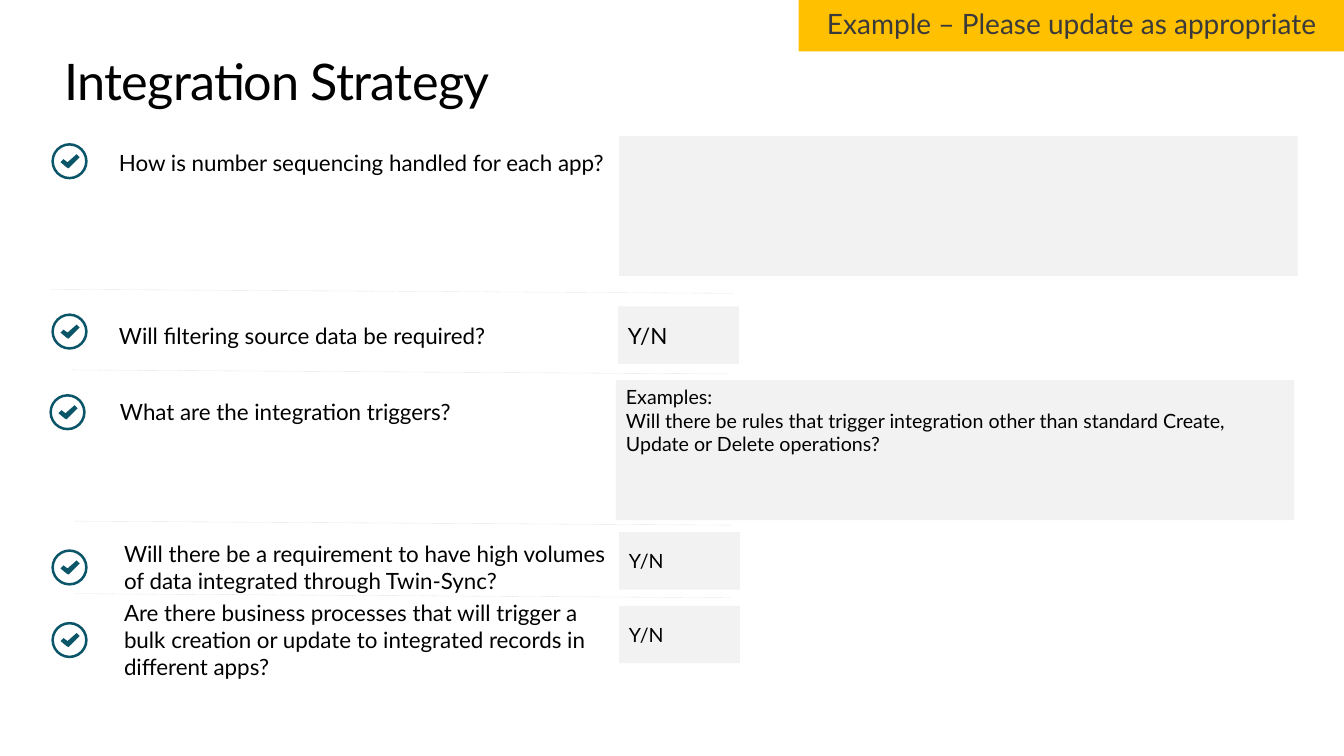
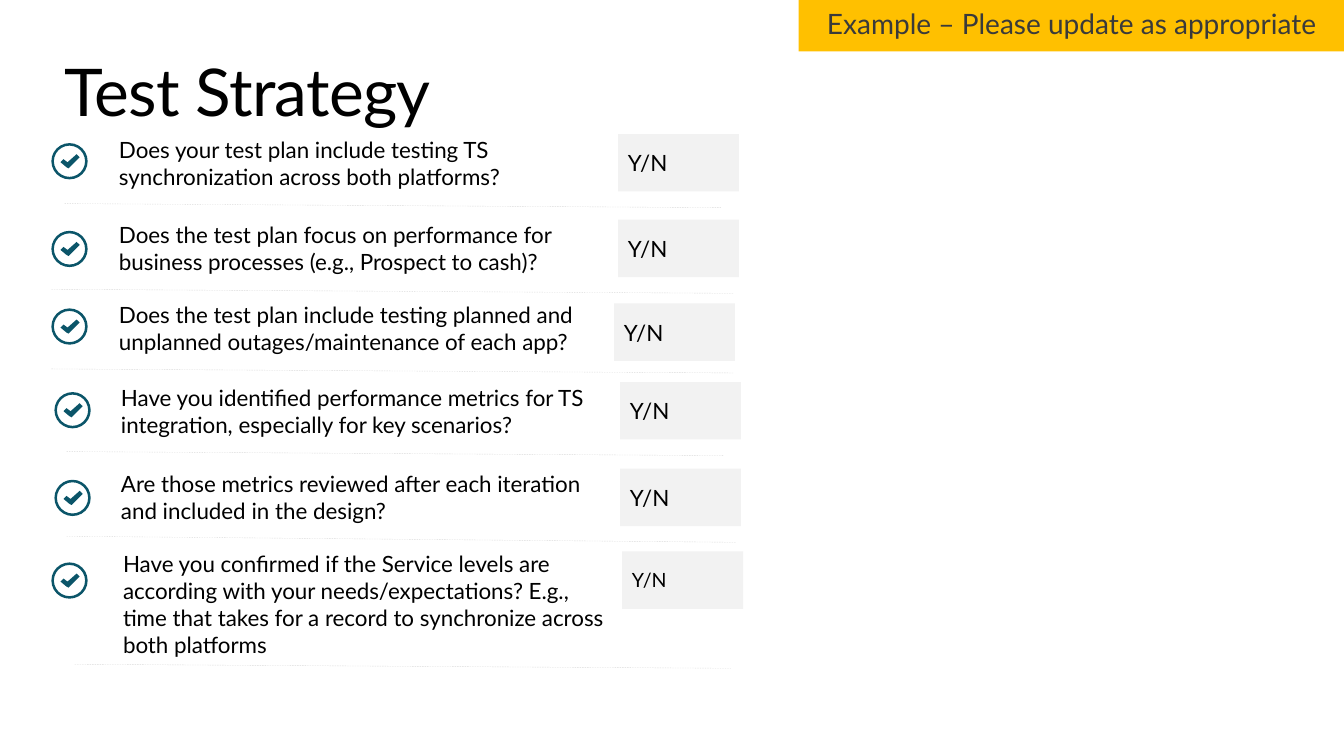
import dataclasses
import pptx
import pptx.util
import pptx.dml.color
import pptx.enum.dml
import pptx.enum.shapes
import pptx.enum.text
import pptx.oxml.ns
import lxml.etree

Inches = pptx.util.Inches
Pt = pptx.util.Pt
Anchor = pptx.enum.text.MSO_ANCHOR
Align = pptx.enum.text.PP_ALIGN
Shape = pptx.enum.shapes.MSO_SHAPE

COLORS = {
    "text": "000000",
    "mark": "0B5569",
    "box": "F2F2F2",
    "rule": "D9D9D9",
    "band": "FFC000",
    "note": "3A3A3A",
}
FONT = "Lato"
SMALL = (1.2, 0.57)
LARGE = (6.73, 1.39)
TICK = [(0.25, 0.11), (0.16, 0.19), (0.12, 0.16), (0.09, 0.19),
        (0.15, 0.24), (0.17, 0.25), (0.18, 0.24), (0.28, 0.14)]


@dataclasses.dataclass
class Row:
    """One question with its check mark, answer box and rule."""
    text: str
    ask: tuple
    mark: tuple
    box: tuple
    rule: tuple = None
    reply: str = "Y/N"
    size: int = 16
    area: tuple = SMALL
    tall: float = 0.57


def color(name):
    """Return the named colour."""
    return pptx.dml.color.RGBColor.from_string(COLORS[name])


def paint(shape, name):
    """Give a shape a flat fill with no line or shadow."""
    shape.shadow.inherit = False
    shape.fill.solid()
    shape.fill.fore_color.rgb = color(name)
    shape.line.fill.background()


def write(shape, text, size, tone="text", inset=(0.1, 0.05, 0.1, 0.05),
          anchor=Anchor.MIDDLE, align=Align.LEFT, space=1.0):
    """Fill a shape with evenly styled paragraphs."""
    frame = shape.text_frame
    frame.word_wrap = True
    frame.vertical_anchor = anchor
    (frame.margin_left, frame.margin_top,
     frame.margin_right, frame.margin_bottom) = map(Inches, inset)
    frame.text = text
    for para in frame.paragraphs:
        para.alignment = align
        para.line_spacing = space
        para.font.name = FONT
        para.font.size = Pt(size)
        para.font.color.rgb = color(tone)


def block(slide, box, name):
    """Draw a filled rectangle."""
    shape = slide.shapes.add_shape(Shape.RECTANGLE, *map(Inches, box))
    paint(shape, name)
    return shape


def head(slide, box, text, size):
    """Place the slide title."""
    title = slide.shapes.add_textbox(*map(Inches, box))
    write(title, text, size, inset=(0, 0, 0, 0), anchor=Anchor.TOP)
    for run in title.text_frame.paragraphs[0].runs:
        run.font._element.set("spc", "-50")


def band(slide, box):
    """Place the example banner."""
    write(block(slide, box, "band"), "Example – Please update as appropriate",
          20, "note", (0.12,) * 4, Anchor.TOP, Align.CENTER, 0.9)


def check(slide, left, top):
    """Draw a ringed check mark."""
    ring = slide.shapes.add_shape(
        Shape.DONUT, *map(Inches, (left, top, 0.36, 0.36)))
    ring.adjustments[0] = 0.07
    paint(ring, "mark")
    spots = [(Inches(left + x), Inches(top + y)) for x, y in TICK]
    build = slide.shapes.build_freeform(*spots[0])
    build.add_line_segments(spots[1:], close=True)
    paint(build.convert_to_shape(), "mark")


def rule(slide, left, top, right, drop=0.04):
    """Draw a faint dashed rule."""
    line = slide.shapes.add_connector(
        pptx.enum.shapes.MSO_CONNECTOR.STRAIGHT,
        *map(Inches, (left, top, right, top + drop)))
    line.line.color.rgb = color("rule")
    line.line.width = Pt(0.25)
    line.line.dash_style = pptx.enum.dml.MSO_LINE.DASH
    lxml.etree.SubElement(line._element.spPr, pptx.oxml.ns.qn("a:effectLst"))


def entry(slide, row):
    """Place one question row."""
    if row.rule:
        rule(slide, *row.rule)
    ask = slide.shapes.add_textbox(*map(Inches, (*row.ask, 5.51, row.tall)))
    write(ask, row.text, 16, inset=(0.6, 0.05, 0.1, 0.05))
    check(slide, *row.mark)
    box = block(slide, (*row.box, *row.area), "box")
    if row.reply:
        anchor = Anchor.TOP if row.area == LARGE else Anchor.MIDDLE
        write(box, row.reply, row.size, anchor=anchor)


def page(deck, title, size, rows):
    """Build a slide of questions."""
    slide = deck.slides.add_slide(deck.slide_layouts[6])
    head(slide, (0.64, 0.5, 12.05, 0.61), title, size)
    for row in rows:
        entry(slide, row)
    band(slide, (7.92, -0.02, 5.42, 0.53))


LINKS = [
    Row("How is number sequencing handled for each app?",
        (0.58, 1.33), (0.51, 1.42), (6.14, 1.35), (0.51, 2.87, 7.28),
        reply="", area=LARGE),
    Row("Will filtering source data be required?",
        (0.58, 3.04), (0.51, 3.11), (6.13, 3.04), (0.71, 3.67, 7.23)),
    Row("What are the integration triggers?",
        (0.59, 3.8), (0.49, 3.91), (6.11, 3.77), (0.74, 5.17, 7.25),
        reply="Examples:\nWill there be rules that trigger integration other "
        "than standard Create, Update or Delete operations?",
        size=14, area=LARGE),
    Row("Will there be a requirement to have high volumes of data integrated "
        "through Twin-Sync?",
        (0.63, 5.34), (0.51, 5.45), (6.14, 5.28), (0.74, 5.89, 7.25), size=14),
    Row("Are there business processes that will trigger a bulk creation or "
        "update to integrated records in different apps?",
        (0.63, 6.06), (0.51, 6.17), (6.14, 6.01), size=14),
]
TESTS = [
    Row("Does your test plan include testing TS synchronization across both "
        "platforms?",
        (0.58, 1.33), (0.51, 1.42), (6.13, 1.33), (0.64, 2.02, 7.15)),
    Row("Does the test plan focus on performance for business processes "
        "(e.g., Prospect to cash)?",
        (0.58, 2.18), (0.51, 2.29), (6.13, 2.18), (0.51, 2.87, 7.28)),
    Row("Does the test plan include testing planned and unplanned "
        "outages/maintenance of each app?",
        (0.58, 2.97), (0.51, 3.06), (6.09, 3.01), (0.51, 3.66, 7.28)),
    Row("Have you identified performance metrics for TS integration, "
        "especially for key scenarios?",
        (0.6, 3.79), (0.54, 3.89), (6.15, 3.79), (0.66, 4.48, 7.18)),
    Row("Are those metrics reviewed after each iteration and "
        "included\u00a0in the\u00a0design?",
        (0.6, 4.65), (0.54, 4.76), (6.15, 4.65), (0.66, 5.32, 7.3, 0.06)),
    Row("Have you confirmed if the Service levels are according with your "
        "needs/expectations? E.g., time that takes for a record to "
        "synchronize across both platforms",
        (0.62, 5.47), (0.51, 5.58), (6.17, 5.47), (0.74, 6.59, 7.25),
        size=14, tall=1.04),
]

deck = pptx.Presentation()
deck.slide_width = Inches(13.33)
deck.slide_height = Inches(7.5)
page(deck, "Integration Strategy", 36, LINKS)
page(deck, "Test Strategy", 47, TESTS)
deck.save("out.pptx")
